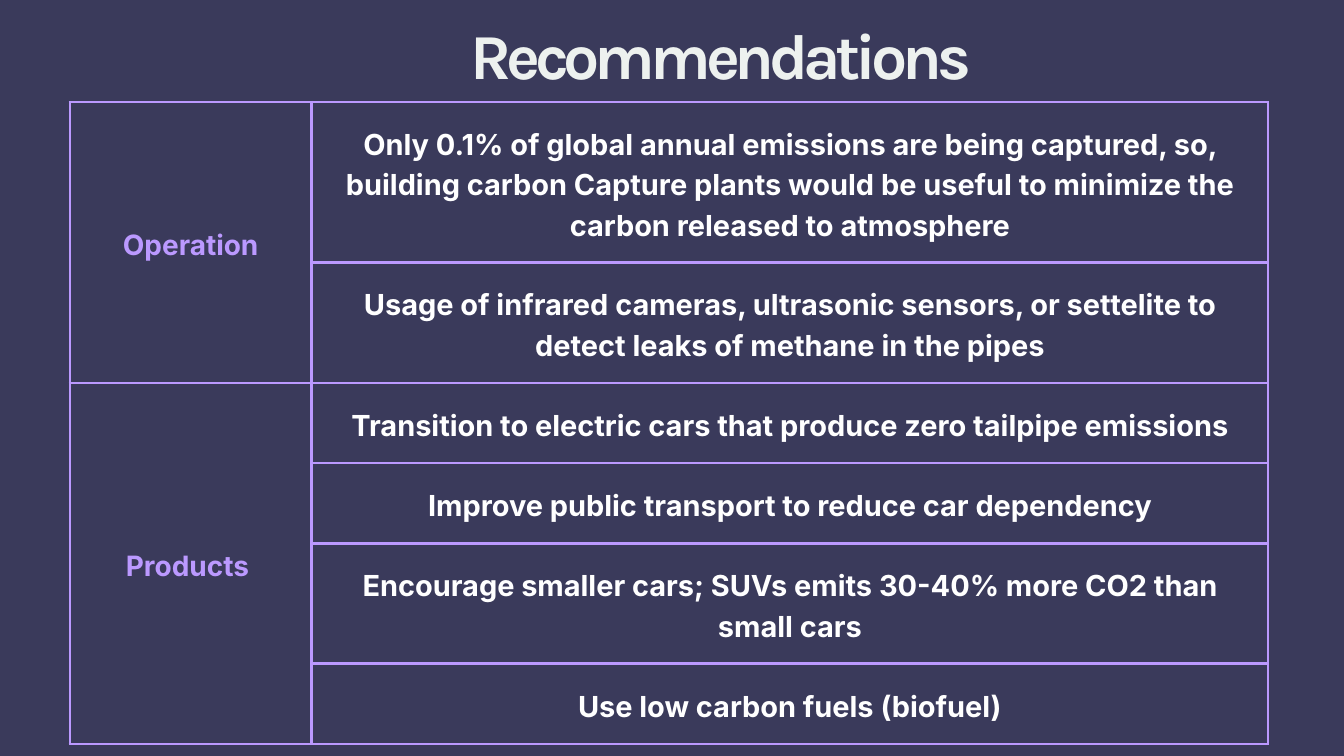
"""Build the recommendations slide: a title above a table of grouped actions."""
from lxml.etree import SubElement
from pptx import Presentation
from pptx.dml.color import RGBColor
from pptx.enum.text import MSO_ANCHOR, MSO_AUTO_SIZE, PP_ALIGN
from pptx.oxml.ns import qn
from pptx.util import Cm, Pt

NAVY = RGBColor(0x3A, 0x3A, 0x5B)
LILAC = RGBColor(0xBB, 0x99, 0xFF)
WHITE = RGBColor(0xFF, 0xFF, 0xFF)
PALE = RGBColor(0xED, 0xF1, 0xEF)

COL_WIDTHS = [9.14, 25.35, 10.8]
LINE_HEIGHTS = {1: 3.03, 2: 4.55, 3: 6.07}
GROUPS = [
    ("Operation", [
        ("Only 0.1% of global annual emissions are being captured, so, building carbon "
         "Capture plants would be useful to minimize the carbon released to atmosphere", 3),
        ("Usage of infrared cameras, ultrasonic sensors, or settelite to detect leaks "
         "of methane in the pipes", 2),
    ]),
    ("Products ", [
        ("Transition to electric cars that produce zero tailpipe emissions", 1),
        ("Improve public transport to reduce car dependency", 1),
        ("Encourage smaller cars; SUVs emits 30-40% more CO2 than small cars", 2),
        ("Use low carbon fuels (biofuel)", 1),
    ]),
]


def write(tf, text, font, size, color, leading):
    """Put one centred bold paragraph in a text frame."""
    tf.word_wrap = True
    p = tf.paragraphs[0]
    p.text = text
    p.alignment = PP_ALIGN.CENTER
    p.line_spacing = Pt(leading)
    p.font.name = font
    p.font.size = Pt(size)
    p.font.bold = True
    p.font.color.rgb = color
    return p


def add_title(s, text):
    """Add the tightly tracked slide title."""
    tf = s.shapes.add_textbox(Cm(17.48), Cm(1.17), Cm(19.53), Cm(4.75)).text_frame
    tf.margin_left = tf.margin_top = tf.margin_right = tf.margin_bottom = 0
    tf.auto_size = MSO_AUTO_SIZE.SHAPE_TO_FIT_TEXT
    p = write(tf, text, "Karla", 68.6, PALE, 65.8)
    p.runs[0].font._element.set("spc", "-560")


def style_cell(cell):
    """Give a cell its margins, clear fill and lilac borders."""
    cell.margin_left = cell.margin_top = cell.margin_right = cell.margin_bottom = Cm(0.53)
    cell.vertical_anchor = MSO_ANCHOR.MIDDLE
    tcPr = cell._tc.get_or_add_tcPr()
    for side in ("a:lnL", "a:lnR", "a:lnT", "a:lnB"):
        ln = SubElement(tcPr, qn(side), w=str(Pt(3)))
        SubElement(SubElement(ln, qn("a:solidFill")), qn("a:srgbClr"), val=str(LILAC))
    cell.fill.background()


def add_recommendations(s, groups):
    """Add the table, with one merged label cell for each group."""
    heights = [LINE_HEIGHTS[lines] for _, actions in groups for _, lines in actions]
    table = s.shapes.add_table(len(heights), len(COL_WIDTHS), Cm(2.64), Cm(3.86),
                               Cm(sum(COL_WIDTHS)), Cm(sum(heights))).table
    table.first_row = table.horz_banding = False
    for col, width in zip(table.columns, COL_WIDTHS):
        col.width = Cm(width)
    for row, height in zip(table.rows, heights):
        row.height = Cm(height)
    for cell in table.iter_cells():
        style_cell(cell)

    top = 0
    for label, actions in groups:
        head = table.cell(top, 0)
        head.merge(table.cell(top + len(actions) - 1, 0))
        write(head.text_frame, label, "Inter", 30, LILAC, 42)
        for i, (action, _) in enumerate(actions, top):
            body = table.cell(i, 1)
            body.merge(table.cell(i, 2))
            write(body.text_frame, action, "Inter", 31, WHITE, 43.4)
        top += len(actions)


def main():
    """Build and save the slide."""
    prs = Presentation()
    prs.slide_width, prs.slide_height = Cm(50.8), Cm(28.58)
    s = prs.slides.add_slide(prs.slide_layouts[6])
    s.background.fill.solid()
    s.background.fill.fore_color.rgb = NAVY
    add_recommendations(s, GROUPS)
    add_title(s, "Recommendations")
    prs.save("out.pptx")


if __name__ == "__main__":
    main()
